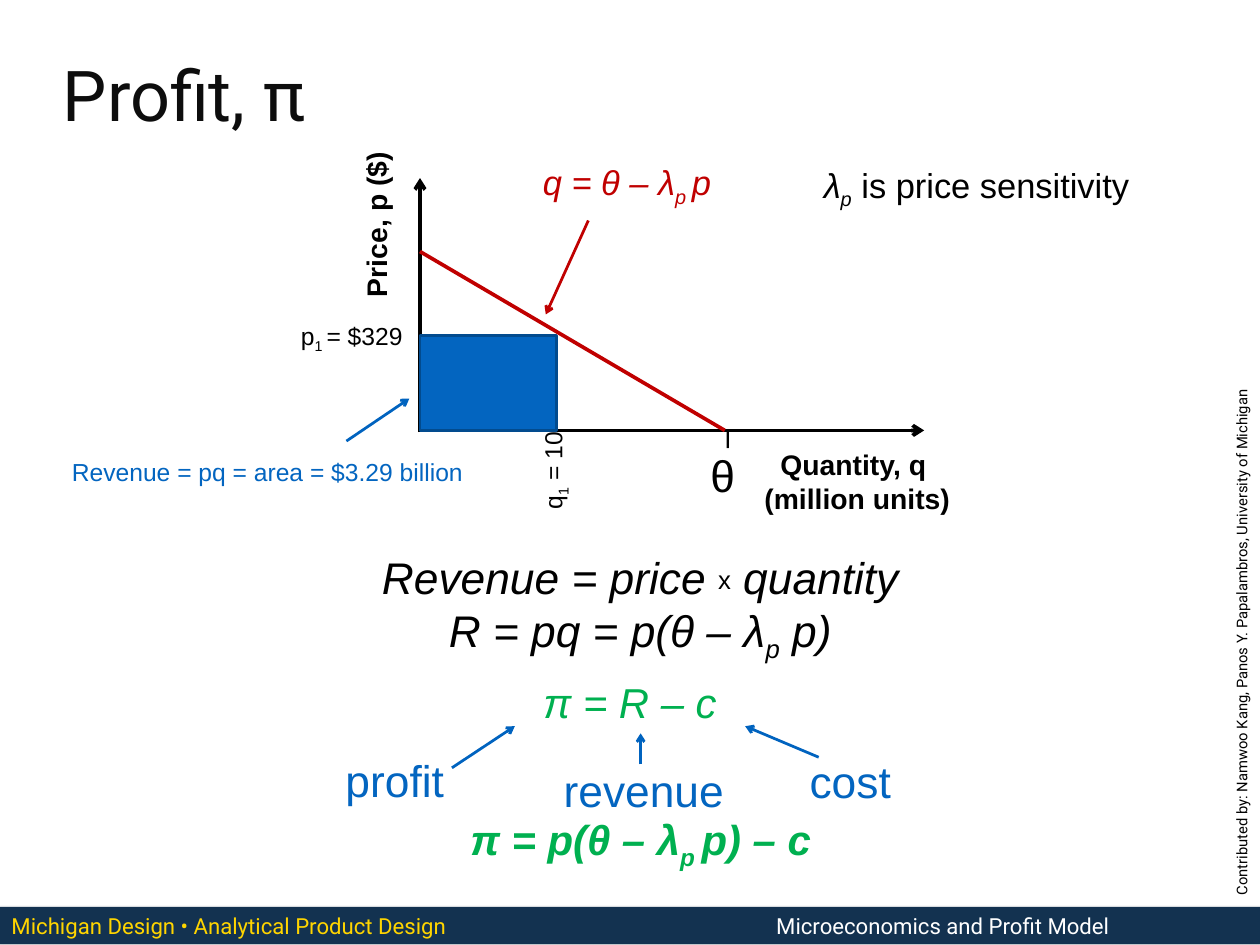
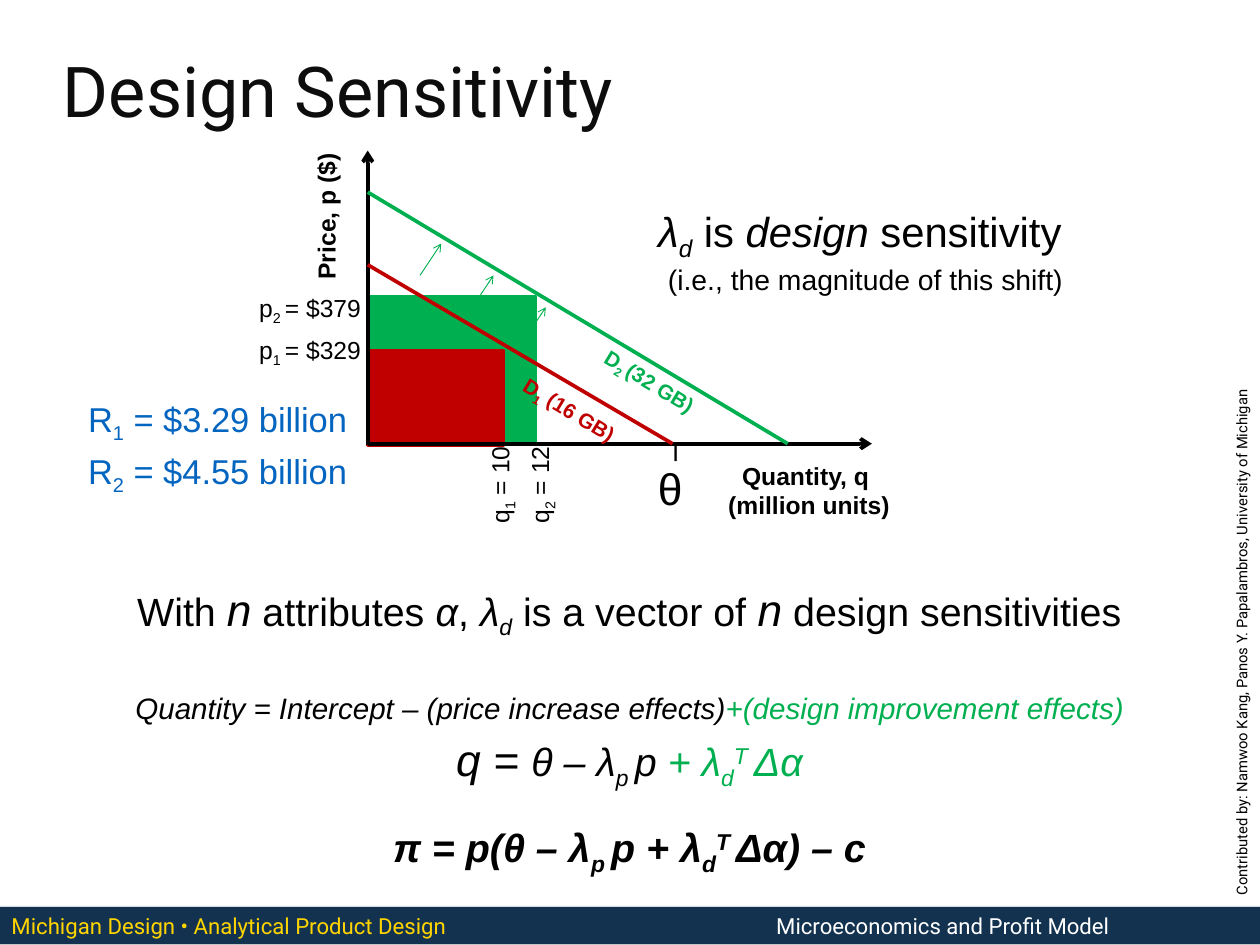
from dataclasses import dataclass

from lxml import etree
from pptx import Presentation
from pptx.dml.color import RGBColor
from pptx.enum.shapes import MSO_CONNECTOR as Link, MSO_SHAPE as Preset
from pptx.enum.text import MSO_ANCHOR as Anchor, PP_ALIGN as Align
from pptx.oxml import parse_xml
from pptx.oxml.ns import nsdecls, qn
from pptx.slide import Slide
from pptx.util import Inches, Pt

BLACK = RGBColor(0x00, 0x00, 0x00)
WHITE = RGBColor(0xFF, 0xFF, 0xFF)
TITLE_INK = RGBColor(0x0D, 0x0D, 0x0D)
NAVY = RGBColor(0x13, 0x32, 0x50)
MAIZE = RGBColor(0xFF, 0xD5, 0x00)
BLUE = RGBColor(0x03, 0x65, 0xC0)
BLUE_EDGE = RGBColor(0x02, 0x4B, 0x8E)
ARROW_BLUE = RGBColor(0x00, 0x63, 0xBF)
RED = RGBColor(0xC0, 0x00, 0x00)
GREEN = RGBColor(0x00, 0xB0, 0x50)
SUB, SUPER, RAISED = -25, 30, 10
BAR_SHADOW = (
    f'<a:effectLst {nsdecls("a")}><a:outerShdw blurRad="38100" dist="25400" dir="5400000">'
    '<a:srgbClr val="929292"><a:alpha val="35000"/></a:srgbClr></a:outerShdw></a:effectLst>'
)


@dataclass
class Span:
    text: str
    base: int = 0
    size: float | None = None
    color: RGBColor | None = None
    bold: bool | None = None
    italic: bool | None = None


@dataclass
class Line:
    spans: list[Span]
    before: float = 0
    indent: float = 0


@dataclass
class Label:
    left: float
    top: float
    width: float
    height: float
    lines: list[Line]
    size: float
    color: RGBColor = BLACK
    bold: bool = False
    italic: bool = False
    font: str = "Arial"
    align: Align = Align.CENTER
    wrap: bool = True
    flush: bool = False
    upright: bool = False
    rotation: float = 0


@dataclass
class Stroke:
    x1: float
    y1: float
    x2: float
    y2: float
    color: RGBColor
    width: float
    arrow: bool = True


@dataclass
class Area:
    left: float
    top: float
    width: float
    height: float
    fill: RGBColor
    edge: RGBColor | None = None


def plain(*texts: str) -> list[Line]:
    return [Line([Span(text)]) for text in texts]


def indexed(stem: str, index: str, rest: str) -> list[Line]:
    return [Line([Span(stem), Span(index, SUB), Span(rest)])]


def draw_label(slide: Slide, label: Label) -> None:
    box = slide.shapes.add_textbox(
        Inches(label.left), Inches(label.top), Inches(label.width), Inches(label.height))
    box.rotation = label.rotation
    frame = box.text_frame
    frame.word_wrap = label.wrap
    frame.vertical_anchor = Anchor.MIDDLE if label.flush else Anchor.TOP
    frame.margin_left = frame.margin_right = Inches(0 if label.flush else 0.14)
    frame.margin_top = frame.margin_bottom = Inches(0 if label.flush else 0.07)
    if label.upright:
        frame._txBody.bodyPr.set("vert", "vert270")
    for number, line in enumerate(label.lines):
        paragraph = frame.add_paragraph() if number else frame.paragraphs[0]
        paragraph.alignment = label.align
        if line.before:
            paragraph.space_before = Pt(line.before)
        if line.indent:
            paragraph._p.get_or_add_pPr().set("marL", str(Inches(line.indent)))
        for span in line.spans:
            run = paragraph.add_run()
            run.text = span.text
            run.font.name = label.font
            run.font.size = Pt(span.size or label.size)
            run.font.color.rgb = label.color if span.color is None else span.color
            run.font.bold = label.bold if span.bold is None else span.bold
            run.font.italic = label.italic if span.italic is None else span.italic
            if span.base:
                run._r.get_or_add_rPr().set("baseline", str(span.base * 1000))


def draw_stroke(slide: Slide, stroke: Stroke) -> None:
    connector = slide.shapes.add_connector(
        Link.STRAIGHT, Inches(stroke.x1), Inches(stroke.y1), Inches(stroke.x2), Inches(stroke.y2))
    connector.line.color.rgb = stroke.color
    connector.line.width = Pt(stroke.width)
    properties = connector._element.spPr
    if stroke.arrow:
        etree.SubElement(properties.find(qn("a:ln")), qn("a:tailEnd")).set("type", "arrow")
    etree.SubElement(properties, qn("a:effectLst"))


def draw_area(slide: Slide, area: Area, shadow: str | None = None) -> None:
    shape = slide.shapes.add_shape(
        Preset.RECTANGLE, Inches(area.left), Inches(area.top), Inches(area.width), Inches(area.height))
    shape.fill.solid()
    shape.fill.fore_color.rgb = area.fill
    if area.edge is None:
        shape.line.fill.background()
    else:
        shape.line.color.rgb = area.edge
        shape.line.width = Pt(2)
    if shadow:
        shape._element.spPr.append(parse_xml(shadow))
    else:
        shape.shadow.inherit = False


def draw_all(slide: Slide, items: list[Label | Stroke]) -> None:
    for item in items:
        if isinstance(item, Label):
            draw_label(slide, item)
        else:
            draw_stroke(slide, item)


def start_slide(deck: Presentation, title: str, title_top: float) -> Slide:
    slide = deck.slides.add_slide(deck.slide_layouts[6])
    draw_area(slide, Area(-0.02, 10.24, 14.26, 0.42, NAVY), BAR_SHADOW)
    credit = "Contributed by: Namwoo Kang, Panos Y. Papalambros, University of Michigan"
    shared = dict(font="Roboto", align=Align.LEFT, flush=True)
    draw_all(slide, [
        Label(10.55, 6.55, 6.92, 0.2, plain(credit), 12, rotation=270, **shared),
        Label(0.13, 10.3, 7.56, 0.3, plain("Michigan Design • Analytical Product Design"),
              18, MAIZE, **shared),
        Label(6.67, 10.3, 5.85, 0.3, plain("Microeconomics and Profit Model"),
              18, WHITE, **{**shared, "align": Align.RIGHT}),
        Label(0.71, title_top, 12.8, 1.78, plain(title), 57, TITLE_INK, **shared),
    ])
    return slide


def price_label(left: float, top: float, index: str, price: str) -> Label:
    return Label(left, top, 1.54, 0.48, indexed("p", f"{index} ", f"= {price}"), 20)


def quantity_label(left: float, top: float, index: str, quantity: str) -> Label:
    return Label(left, top, 0.62, 1.15, indexed("q", index, f" = {quantity}"), 20, upright=True)


def draw_demand(slide: Slide, x: float, y: float, axis_height: float, caption_size: float,
                quantity_box: tuple, price_box: tuple) -> None:
    theta = [Line([Span("|", size=15, bold=True)], indent=0.12), Line([Span("θ")])]
    caption = dict(size=caption_size, bold=True, wrap=False)
    draw_all(slide, [
        Stroke(x, y + 0.02, x, y - axis_height, BLACK, 3),
        Stroke(x, y, x + 5.69, y, BLACK, 3),
        Label(*quantity_box, plain("Quantity, q ", "(million units)"), **caption),
        Label(*price_box, plain("Price, p ($)"), upright=True, **caption),
        Stroke(x, y - 2.02, x + 3.44, y, RED, 3, False),
        Label(x + 3.13, y - 0.12, 0.57, 1, theta, 36, wrap=False),
    ])


def build_profit(deck: Presentation) -> None:
    slide = start_slide(deck, "Profit, π", 0.16)
    x, y = 4.74, 4.86
    draw_demand(slide, x, y, 2.85, 23, (8.48, 4.98, 2.39, 0.91), (3.91, 1.64, 0.67, 1.79))
    draw_area(slide, Area(x, y - 1.07, 1.54, 1.07, BLUE, BLUE_EDGE))
    revenue = [
        Line([Span("Revenue = price "), Span("x", RAISED, italic=False), Span(" quantity")]),
        *indexed("R = pq = p(θ – λ", "p", " p)"),
    ]
    sensitivity = [Line([Span("λ"), Span("p", SUB), Span(" is price sensitivity", italic=False)])]
    draw_all(slide, [
        Label(2.25, 7.58, 9.72, 0.68, plain("π = R – c"), 34, GREEN, italic=True, flush=True),
        Stroke(6.64, 2.49, 6.16, 3.55, RED, 2.25),
        Label(5.93, 1.75, 2.29, 0.62, indexed("q = θ – λ", "p ", "p"), 28, RED,
              italic=True, wrap=False),
        price_label(x - 1.54, y - 1.31, "1", "$329"),
        quantity_label(x + 1.19, y - 0.12, "1", "10"),
        Stroke(3.91, 4.98, 4.62, 4.5, ARROW_BLUE, 2.25),
        Label(0.59, 5.09, 4.86, 0.48, plain("Revenue = pq = area = $3.29 billion"), 20, BLUE),
        Label(3.67, 6.14, 7.11, 1.36, revenue, 36, italic=True),
        Label(8.65, 1.78, 4.74, 0.62, sensitivity, 28, italic=True),
        Label(5.12, 9.12, 4.22, 0.72, indexed("π = p(θ – λ", "p ", "p) – c"), 34, GREEN,
              bold=True, italic=True, wrap=False),
    ])
    terms = [
        ("profit", (3.75, 8.43, 1.41), (5.1, 8.67, 5.81, 8.2)),
        ("revenue", (6.21, 8.55, 2.11), (7.23, 8.63, 7.23, 8.28)),
        ("cost", (8.99, 8.45, 1.21), (9.24, 8.55, 8.41, 8.2)),
    ]
    for term, place, pointer in terms:
        draw_all(slide, [
            Stroke(*pointer, ARROW_BLUE, 2.25),
            Label(*place, 0.75, plain(term), 36, BLUE, wrap=False),
        ])


def build_sensitivity(deck: Presentation) -> None:
    slide = start_slide(deck, "Design Sensitivity", 0.12)
    x, y = 4.15, 5.01
    draw_area(slide, Area(x, y - 1.66, 1.9, 1.66, GREEN, GREEN))
    draw_area(slide, Area(x, y - 1.05, 1.54, 1.07, RED, RED))
    draw_demand(slide, x, y, 3.31, 20, (8.07, 5.13, 2.12, 0.82), (3.37, 1.66, 0.62, 1.57))
    statement = [
        Line([Span("With "), Span("n", size=36, italic=True), Span(" attributes "),
              Span("α", italic=True), Span(", "), Span("λ", italic=True),
              Span("d", SUB, italic=True), Span(" is a vector of "),
              Span("n", size=36, italic=True), Span(" design sensitivities")]),
        Line([Span("Quantity = Intercept – (price increase effects)", size=24, italic=True),
              Span("+(design improvement effects)", size=24, color=GREEN, italic=True)], 40),
        Line([Span("q = ", size=36, italic=True), Span("θ – λ", italic=True),
              Span("p ", SUB, italic=True), Span("p ", italic=True),
              Span("+ λ", color=GREEN, italic=True), Span("d", SUB, color=GREEN, italic=True),
              Span("T ", SUPER, color=GREEN, italic=True),
              Span("Δα", color=GREEN, italic=True)], 6),
        Line([Span(text, base, bold=True, italic=True) for text, base in (
            ("π = p(θ – λ", 0), ("p ", SUB), ("p + λ", 0), ("d", SUB), ("T ", SUPER),
            ("Δα) – c", 0))], 26),
    ]
    shift = [
        Line([Span("λ", italic=True), Span("d", SUB, italic=True), Span(" is "),
              Span("design", italic=True), Span(" sensitivity ")]),
        Line([Span("(i.e., the magnitude of this shift)", size=23)]),
    ]
    curve = dict(size=17, bold=True, wrap=False, rotation=31.1)
    draw_all(slide, [
        Label(0.47, 6.22, 13.27, 4.03, statement, 32, flush=True),
        Label(5.69, 4.41, 1.47, 0.43, indexed("D", "1", " (16 GB)"), color=RED, **curve),
        Stroke(x, 2.17, 8.89, y, GREEN, 3, False),
        Label(6.61, 4.09, 1.44, 0.43, indexed("D", "2 ", "(32 GB)"), color=GREEN, **curve),
        Label(7.28, 2.25, 4.98, 1.1, shift, 34),
    ])
    for step in range(3):
        left, top = 4.74 + 0.59 * step, 3.11 + 0.36 * step
        draw_stroke(slide, Stroke(left, top, left + 0.24, top - 0.36, GREEN, 0.75))
    cases = [
        ("1", "$329", 3.71, "10", 5.33, "$3.29", 4.42),
        ("2", "$379", 3.24, "12", 5.78, "$4.55", 5.01),
    ]
    for index, price, price_top, quantity, quantity_left, revenue, revenue_top in cases:
        draw_all(slide, [
            price_label(x - 1.42, price_top, index, price),
            quantity_label(quantity_left, y - 0.11, index, quantity),
            Label(0.82, revenue_top, 3.27, 0.61, indexed("R", index, f" = {revenue} billion"),
                  28, BLUE, wrap=False),
        ])


def main() -> None:
    deck = Presentation()
    deck.slide_width, deck.slide_height = Inches(14.22), Inches(10.67)
    build_profit(deck)
    build_sensitivity(deck)
    deck.save("out.pptx")


if __name__ == "__main__":
    main()
